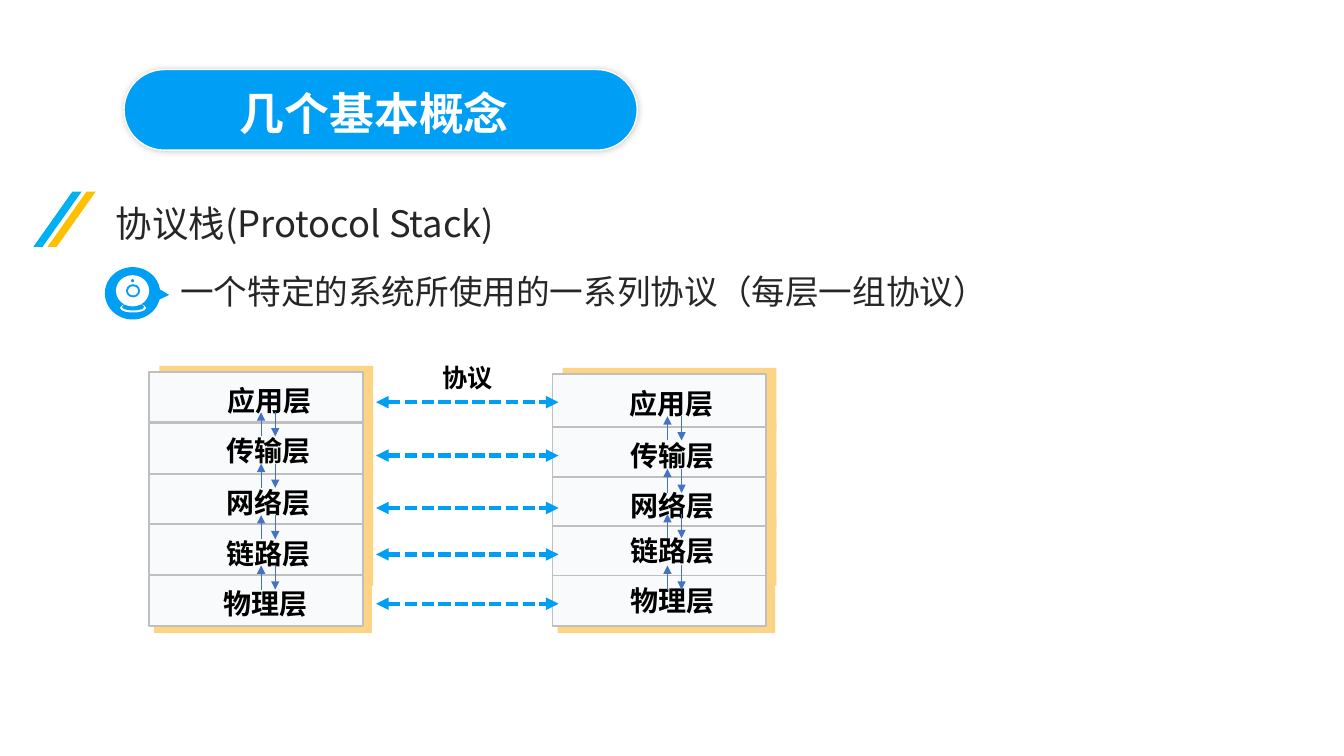
from lxml import etree
from pptx import Presentation
from pptx import util as u
from pptx.dml.color import RGBColor
from pptx.enum import dml, shapes, text
from pptx.oxml import ns

PX = 9144
WHITE = RGBColor(0xFF, 0xFF, 0xFF)
BLACK = RGBColor(0, 0, 0)
INK = RGBColor(0x26, 0x26, 0x26)
BLUE = RGBColor(0x00, 0x9F, 0xF6)
SKY = RGBColor(0x00, 0xB0, 0xF0)
AMBER = RGBColor(0xFF, 0xC0, 0x00)
SAND = RGBColor(0xFC, 0xD4, 0x84)
PALE = RGBColor(0xF9, 0xFA, 0xFC)
GREY = RGBColor(0xBF, 0xBF, 0xBF)
ARROW = RGBColor(0x44, 0x72, 0xC4)

SERIF = "Times New Roman"
SANS_SC = "Noto Sans CJK SC"
SANS_JP = "Noto Sans CJK JP"
KIND = shapes.MSO_SHAPE

LAYERS = ("应用层", "传输层", "网络层", "链路层", "物理层")
SHADE_INSETS = ((10, 212), (10, 212), (10, 212), (10, 212), (5, 216))
LEFT_STACK = {
    "left": 148,
    "shades": ((363, 55), (414, 55), (465, 55), (512, 69), (570, 58)),
    "faces": ((369, 50), (420, 50), (470, 50), (520, 50), (571, 50)),
    "labels": ((214, 375), (213, 425), (213, 476), (213, 527), (210, 577)),
    "arrows": (409, 460, 511, 561),
    "arrow_columns": (273, 259),
}
RIGHT_STACK = {
    "left": 548,
    "shades": ((365, 62), (419, 55), (468, 55), (514, 67), (570, 58)),
    "faces": ((371, 56), (424, 50), (473, 50), (522, 51), (571, 50)),
    "labels": ((613, 378), (614, 430), (614, 479), (614, 524), (614, 574)),
    "arrows": (413, 465, 510, 561),
    "arrow_columns": (676, 662),
}
PEER_LINES = (399, 452, 504, 550, 599)


def add_block(page, kind, area, fill, line=None, width=1, adjust=()):
    block = page.shapes.add_shape(kind, *(n * PX for n in area))
    block.shadow.inherit = False
    block.fill.solid()
    block.fill.fore_color.rgb = fill
    if line is None:
        block.line.fill.background()
    else:
        block.line.color.rgb = line
        block.line.width = u.Pt(width)
    for index, value in enumerate(adjust):
        block.adjustments[index] = value
    return block


def add_label(page, words, area, size, color, font=SERIF, asian=SANS_SC,
              bold=False, centred=False):
    box = page.shapes.add_textbox(*(n * PX for n in area))
    frame = box.text_frame
    frame.text = words
    frame.word_wrap = not centred
    frame.vertical_anchor = text.MSO_ANCHOR.MIDDLE
    para = frame.paragraphs[0]
    if centred:
        para.alignment = text.PP_ALIGN.CENTER
    span = para.runs[0]
    span.font.size = u.Pt(size)
    span.font.bold = bold
    span.font.color.rgb = color
    span.font.name = font
    face = etree.SubElement(span.font._element, ns.qn("a:ea"))
    face.set("typeface", asian)


def add_arrow(page, start, end, color, width, both=False):
    points = (n * PX for n in (*start, *end))
    arrow = page.shapes.add_connector(shapes.MSO_CONNECTOR.STRAIGHT, *points)
    arrow.line.color.rgb = color
    arrow.line.width = u.Pt(width)
    if both:
        arrow.line.dash_style = dml.MSO_LINE.SQUARE_DOT
    outline = arrow.line._get_or_add_ln()
    for tip in ("a:headEnd", "a:tailEnd") if both else ("a:tailEnd",):
        etree.SubElement(outline, ns.qn(tip)).set("type", "triangle")
    etree.SubElement(arrow._element.spPr, ns.qn("a:effectLst"))


def add_glow(block, blur, opacity):
    effects = block._element.spPr.find(ns.qn("a:effectLst"))
    shadow = etree.SubElement(effects, ns.qn("a:outerShdw"))
    shadow.set("blurRad", str(u.Pt(blur)))
    shadow.set("algn", "ctr")
    shadow.set("rotWithShape", "0")
    color = etree.SubElement(shadow, ns.qn("a:srgbClr"))
    color.set("val", str(BLACK))
    etree.SubElement(color, ns.qn("a:alpha")).set("val", str(opacity * 1000))


def add_headings(page):
    for left, color in ((33, SKY), (47, AMBER)):
        add_block(page, KIND.PARALLELOGRAM, (left, 190, 48, 55), color,
                  adjust=(0.81,))
    add_label(page, "协议栈(Protocol Stack)", (105, 194, 444, 54), 26, INK,
              font=SANS_SC)
    pill = add_block(page, KIND.ROUNDED_RECTANGLE, (123, 69, 509, 80), BLUE,
                     WHITE, adjust=(0.5,))
    add_glow(pill, 5, 20)
    add_label(page, "几个基本概念", (228, 80, 462, 64), 32, WHITE,
              font=SANS_JP, asian=SANS_JP, bold=True)


def add_webcam_bullet(page):
    add_block(page, KIND.OVAL_CALLOUT, (104, 265, 55, 52), BLUE,
              adjust=(0.66, 0.03))
    base, slot = (119, 301, 26, 9), (121, 301, 22, 7)
    head, ring = (115, 273, 33, 31), (125, 282, 14, 13)
    lens, light = (127, 284, 10, 9), (130, 277, 3, 3)
    for area, color in ((base, WHITE), (slot, BLUE), (head, WHITE),
                        (ring, BLUE), (lens, WHITE), (light, BLUE)):
        add_block(page, KIND.OVAL, area, color)
    add_label(page, "一个特定的系统所使用的一系列协议（每层一组协议）",
              (169, 264, 1056, 50), 24, INK)


def add_stack(page, stack):
    left = stack["left"]
    for (inset, width), (top, height) in zip(SHADE_INSETS, stack["shades"]):
        add_block(page, KIND.RECTANGLE, (left + inset, top, width, height), SAND)
    for top, height in stack["faces"]:
        add_block(page, KIND.RECTANGLE, (left, top, 212, height), PALE, GREY, 1.25)
    for name, place in zip(LAYERS, stack["labels"]):
        add_label(page, name, (*place, 106, 44), 20, BLACK, bold=True,
                  centred=True)
    down, up = stack["arrow_columns"]
    for top in stack["arrows"]:
        add_arrow(page, (down, top), (down, top + 24), ARROW, 0.5)
        add_arrow(page, (up, top + 24), (up, top), ARROW, 0.5)


def main():
    deck = Presentation()
    deck.slide_width, deck.slide_height = 1333 * PX, 750 * PX
    page = deck.slides.add_slide(deck.slide_layouts[6])
    add_headings(page)
    add_webcam_bullet(page)
    for stack in (LEFT_STACK, RIGHT_STACK):
        add_stack(page, stack)
    add_label(page, "协议", (428, 354, 72, 40), 18, BLACK, bold=True, centred=True)
    for level in PEER_LINES:
        add_arrow(page, (373, level), (554, level), BLUE, 3, both=True)
    deck.save("out.pptx")


if __name__ == "__main__":
    main()
